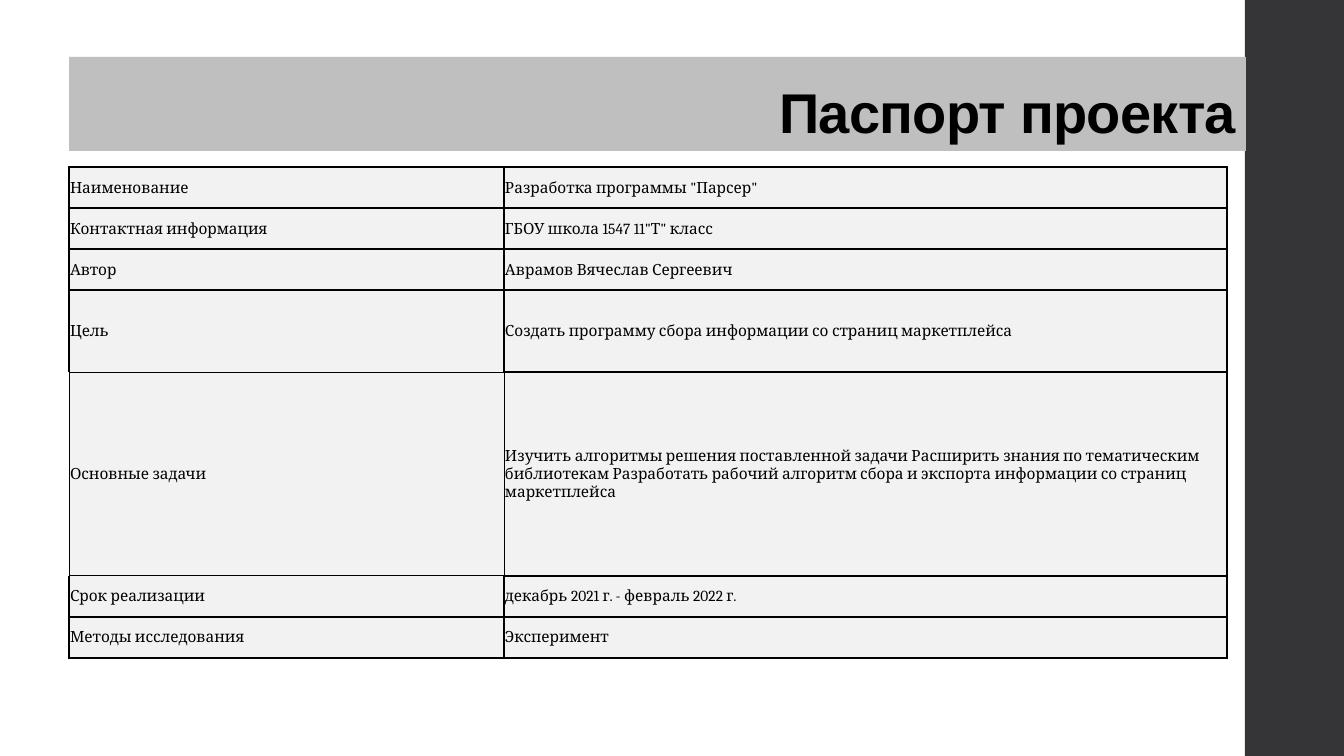
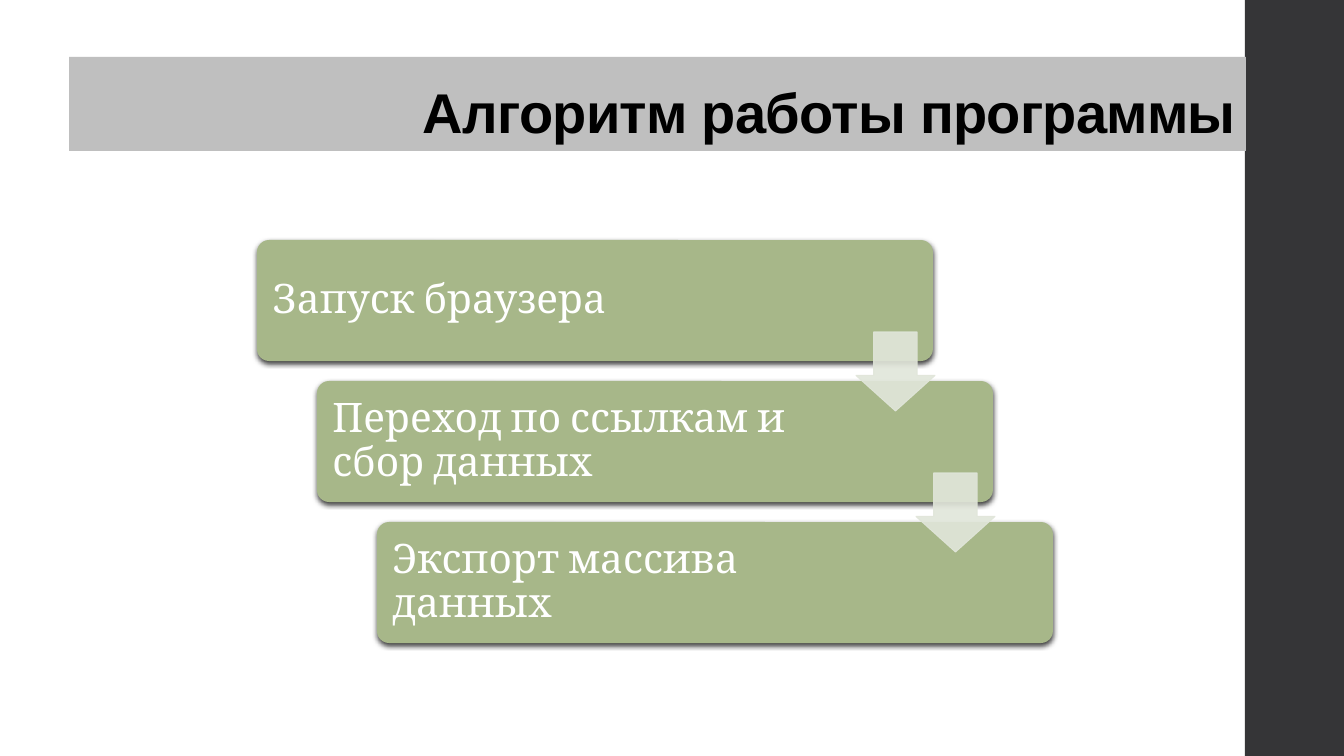
from lxml.etree import SubElement
from pptx import Presentation
from pptx.dml.color import RGBColor
from pptx.enum.shapes import MSO_SHAPE
from pptx.enum.text import MSO_ANCHOR, PP_ALIGN
from pptx.oxml.ns import qn
from pptx.util import Pt

SCALE = 914400 / 100.8
PAGE_WIDTH, PAGE_HEIGHT = 1344, 756
HEADING_FONT, BODY_FONT = "Arial", "Cambria"
BLACK, WHITE = "000000", "FFFFFF"
SIDE_COLOR, TITLE_COLOR, CELL_COLOR = "353537", "BFBFBF", "F2F2F2"
STEP_COLOR, ARROW_COLOR = "A7B789", "E1E6DA"

TITLE_BOX = (69, 57, 1177, 94)
SIDE_BOX = (1245, 0, 99, PAGE_HEIGHT)
TABLE_BOX = (69, 167, 1158, 491)
STEPS_BOX = (257, 240, 796, 403)

PASSPORT = [
    ("Наименование", 'Разработка программы "Парсер"', 41),
    ("Контактная информация", 'ГБОУ школа 1547 11"Т" класс', 41),
    ("Автор", "Аврамов Вячеслав Сергеевич", 41),
    ("Цель", "Создать программу сбора информации со страниц маркетплейса", 82),
    ("Основные задачи",
     "Изучить алгоритмы решения поставленной задачи Расширить знания по "
     "тематическим библиотекам Разработать рабочий алгоритм сбора и экспорта "
     "информации со страниц маркетплейса", 204),
    ("Срок реализации", "декабрь 2021 г. - февраль 2022 г.", 41),
    ("Методы исследования", "Эксперимент", 41),
]
LABEL_WIDTH = 435
THIN_CELL = (4, 0)
SIDES = {"L": (0, -1), "R": (0, 1), "T": (-1, 0), "B": (1, 0)}

STEPS = ["Запуск браузера", "Переход по ссылкам и сбор данных",
         "Экспорт массива данных"]


def px(length):
    return round(length * SCALE)


def rgb(value):
    return RGBColor.from_string(value)


def add_color(parent, value, opacity=100):
    color = SubElement(parent, qn("a:srgbClr"), val=value)
    if opacity < 100:
        SubElement(color, qn("a:alpha"), val=str(opacity * 1000))


def write(holder, text, frame=None, font=BODY_FONT, size=11, color=BLACK,
          bold=False, align=PP_ALIGN.LEFT, anchor=MSO_ANCHOR.MIDDLE,
          line_spacing=None, tracking=None, insets=(10, 5, 10, 5)):
    """Fill a text frame, or a cell (the holder) with its own frame."""
    frame = frame or holder
    frame.word_wrap = True
    holder.vertical_anchor = anchor
    for side, inset in zip(("left", "top", "right", "bottom"), insets):
        setattr(holder, f"margin_{side}", px(inset))
    para = frame.paragraphs[0]
    para.alignment = align
    para.line_spacing = line_spacing
    span = para.add_run()
    span.text = text
    span.font.name, span.font.size, span.font.bold = font, Pt(size), bold
    span.font.color.rgb = rgb(color)
    if tracking is not None:
        span.font._element.set("spc", str(round(tracking * 100)))


def add_box(page, kind, box, fill, adjustments=()):
    shape = page.shapes.add_shape(kind, *map(px, box))
    shape.shadow.inherit = False
    shape.fill.solid()
    shape.fill.fore_color.rgb = rgb(fill)
    shape.line.fill.background()
    for index, value in enumerate(adjustments):
        shape.adjustments[index] = value
    return shape


def add_page(deck, title):
    page = deck.slides.add_slide(deck.slide_layouts[6])
    # Side band
    add_box(page, MSO_SHAPE.RECTANGLE, SIDE_BOX, SIDE_COLOR)
    # Title band
    band = add_box(page, MSO_SHAPE.RECTANGLE, TITLE_BOX, TITLE_COLOR)
    write(band.text_frame, title, font=HEADING_FONT, size=40, bold=True,
          align=PP_ALIGN.RIGHT, anchor=MSO_ANCHOR.BOTTOM,
          line_spacing=0.9, tracking=-0.5)
    return page


def add_borders(cell, row, column):
    properties = cell._tc.get_or_add_tcPr()
    for side, (down, across) in SIDES.items():
        thin = THIN_CELL in ((row, column), (row + down, column + across))
        line = SubElement(properties, qn(f"a:ln{side}"),
                          w=str(Pt(0.75 if thin else 1)))
        add_color(SubElement(line, qn("a:solidFill")), BLACK)


def add_passport(page, box):
    table = page.shapes.add_table(len(PASSPORT), 2, *map(px, box)).table
    table.first_row = table.horz_banding = False
    for column, width in enumerate((LABEL_WIDTH, box[2] - LABEL_WIDTH)):
        table.columns[column].width = px(width)
    for row, (label, value, height) in enumerate(PASSPORT):
        table.rows[row].height = px(height)
        for column, text in enumerate((label, value)):
            cell = table.cell(row, column)
            write(cell, text, frame=cell.text_frame, insets=(1, 1, 1, 0))
            add_borders(cell, row, column)
            cell.fill.solid()
            cell.fill.fore_color.rgb = rgb(CELL_COLOR)


def add_step_shadow(shape):
    effects = shape._element.spPr.find(qn("a:effectLst"))
    shadow = SubElement(effects, qn("a:outerShdw"), blurRad=str(Pt(4)),
                        dist=str(Pt(1.2)), dir="5400000", rotWithShape="0")
    add_color(shadow, BLACK, opacity=75)


def add_arrow(page, box):
    arrow = add_box(page, MSO_SHAPE.DOWN_ARROW, box, ARROW_COLOR, (0.55, 0.45))
    arrow.line.color.rgb = rgb(ARROW_COLOR)
    arrow.line.width = Pt(0.75)
    for color in arrow._element.spPr.iter(qn("a:srgbClr")):
        SubElement(color, qn("a:alpha"), val="90000")


def add_staircase(page, box):
    left, top, width, height = box
    step_width, step_height, arrow_size = 676, 121, 79
    gaps = len(STEPS) - 1
    across, down = (width - step_width) / gaps, (height - step_height) / gaps
    corners = [(left + round(index * across), top + round(index * down))
               for index in range(len(STEPS))]
    # Steps
    for text, corner in zip(STEPS, corners):
        step = add_box(page, MSO_SHAPE.ROUNDED_RECTANGLE,
                       (*corner, step_width, step_height), STEP_COLOR, (0.1,))
        add_step_shadow(step)
        write(step.text_frame, text, size=29, color=WHITE, line_spacing=0.9,
              insets=(12, 12, 150, 12))
    # Arrows between steps
    for x, y in corners[:-1]:
        add_arrow(page, (x + step_width - arrow_size + 2, y + 92,
                         arrow_size, arrow_size))


deck = Presentation()
deck.slide_width, deck.slide_height = px(PAGE_WIDTH), px(PAGE_HEIGHT)
add_passport(add_page(deck, "Паспорт проекта"), TABLE_BOX)
add_staircase(add_page(deck, "Алгоритм работы программы"), STEPS_BOX)
deck.save("out.pptx")
